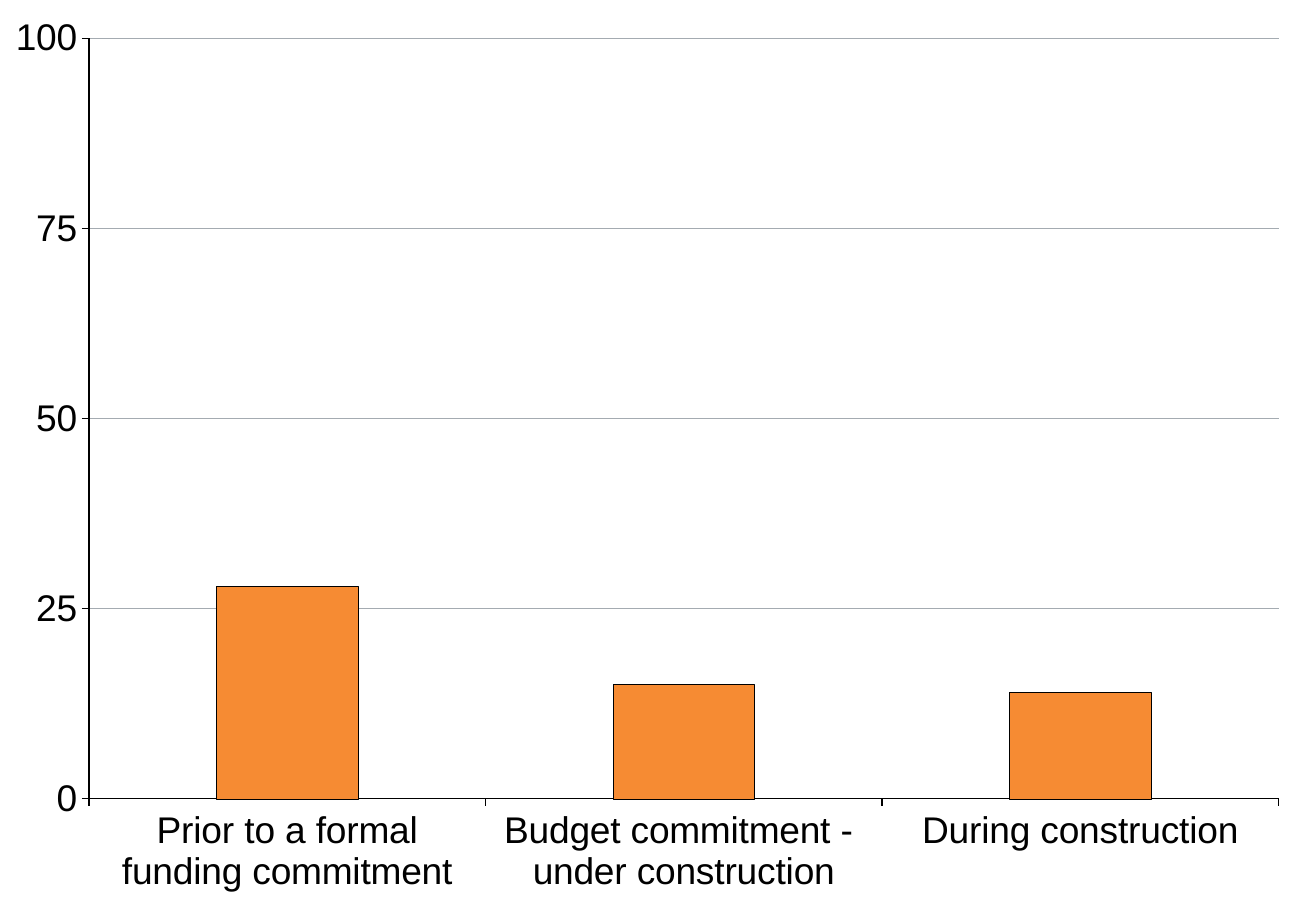
import pptx
import pptx.chart.data
import pptx.dml.color
import pptx.enum.chart
import pptx.oxml
import pptx.oxml.ns
import pptx.util

SLIDE_WIDTH, SLIDE_HEIGHT = 10.83, 7.5
CHART_LEFT = -0.08
FONT = "Arial"
BLACK, ORANGE, GREY = "000000", "F68B33", "A4ABB1"

SHARES = {
    "Prior to a formal funding commitment": 28,
    "Budget commitment - \nunder construction": 15,
    "During construction": 14,
}
PLOT_AREA = {"x": 0.075, "y": 0.042, "w": 0.904, "h": 0.835}


def set_color(target, color):
    target.rgb = pptx.dml.color.RGBColor.from_string(color)


def set_line(line, color, width):
    set_color(line.color, color)
    line.width = pptx.util.Pt(width)


def set_font(font, size):
    font.name = FONT
    font.size = pptx.util.Pt(size)
    font.bold = False
    set_color(font.color, BLACK)


def place_plot(chart, area):
    modes = "".join(f'<c:{side}Mode val="edge"/>' for side in "xy")
    sizes = "".join(f'<c:{side} val="{share}"/>' for side, share in area.items())
    layout = pptx.oxml.parse_xml(
        f'<c:layout {pptx.oxml.ns.nsdecls("c")}><c:manualLayout>'
        f'<c:layoutTarget val="inner"/>{modes}{sizes}'
        "</c:manualLayout></c:layout>"
    )
    plot_area = chart.element.find(".//" + pptx.oxml.ns.qn("c:plotArea"))
    for automatic in plot_area.findall(pptx.oxml.ns.qn("c:layout")):
        plot_area.remove(automatic)
    plot_area.insert(0, layout)


def add_shares_chart(slide):
    shares = pptx.chart.data.CategoryChartData()
    shares.categories = list(SHARES)
    shares.add_series("Series 1", list(SHARES.values()))
    chart = slide.shapes.add_chart(
        pptx.enum.chart.XL_CHART_TYPE.COLUMN_CLUSTERED,
        pptx.util.Inches(CHART_LEFT), 0,
        pptx.util.Inches(SLIDE_WIDTH), pptx.util.Inches(SLIDE_HEIGHT),
        shares,
    ).chart
    chart.has_legend = False
    chart.has_title = False
    set_font(chart.font, 18)

    for axis in (chart.category_axis, chart.value_axis):
        set_font(axis.tick_labels.font, 22)
        set_line(axis.format.line, BLACK, 0.75)
        axis.major_tick_mark = pptx.enum.chart.XL_TICK_MARK.OUTSIDE
        axis.minor_tick_mark = pptx.enum.chart.XL_TICK_MARK.NONE

    scale = chart.value_axis
    scale.minimum_scale, scale.maximum_scale, scale.major_unit = 0, 100, 25
    scale.has_major_gridlines = True
    set_line(scale.major_gridlines.format.line, GREY, 0.75)

    columns = chart.plots[0]
    columns.gap_width = 180
    columns.vary_by_categories = False
    bars = columns.series[0].format
    bars.fill.solid()
    set_color(bars.fill.fore_color, ORANGE)
    set_line(bars.line, BLACK, 0.25)
    place_plot(chart, PLOT_AREA)


def main():
    deck = pptx.Presentation()
    deck.slide_width = pptx.util.Inches(SLIDE_WIDTH)
    deck.slide_height = pptx.util.Inches(SLIDE_HEIGHT)
    add_shares_chart(deck.slides.add_slide(deck.slide_layouts[6]))
    deck.save("out.pptx")


if __name__ == "__main__":
    main()
